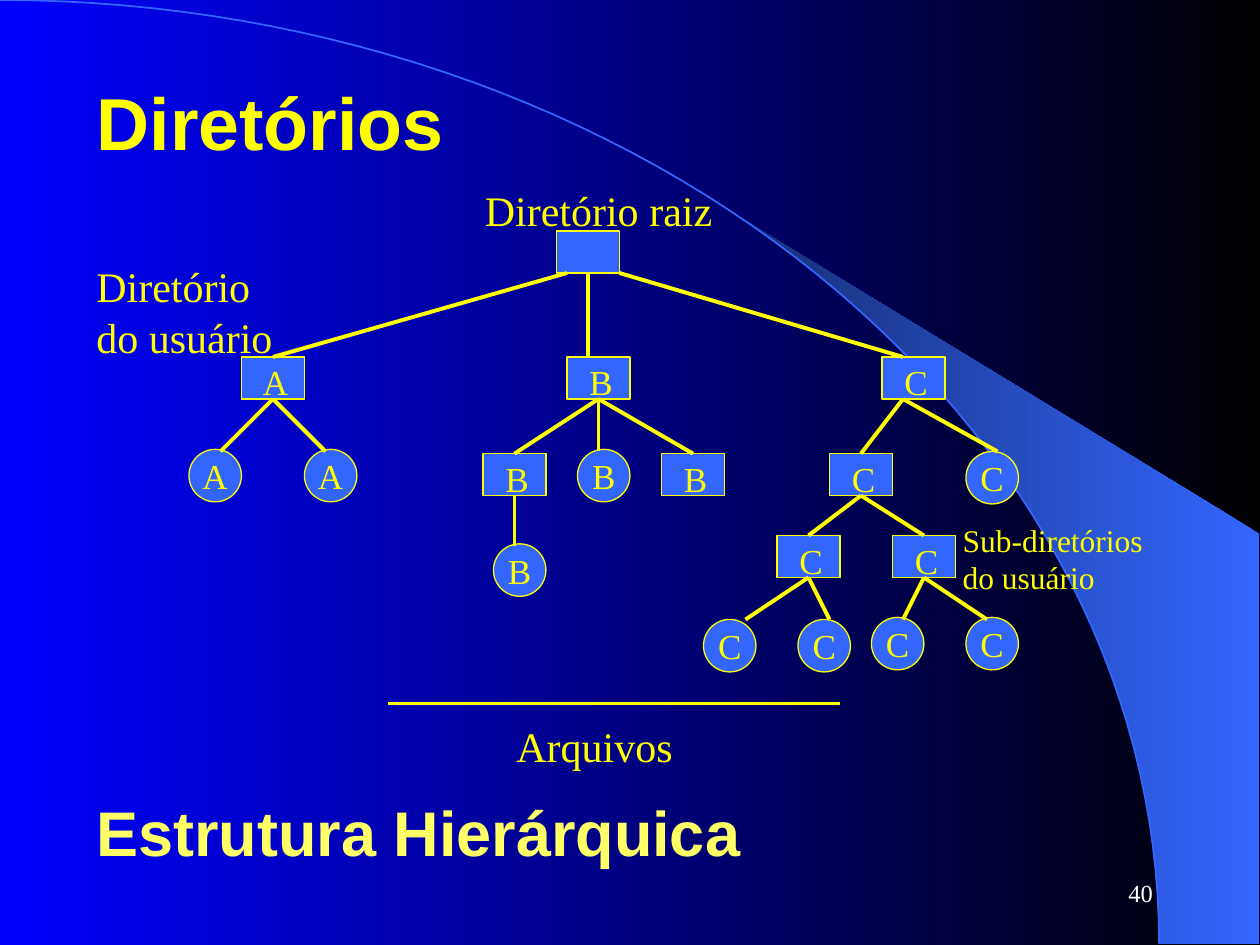
from math import asin, cos, pi, sin

from lxml.etree import SubElement
from pptx import Presentation
from pptx.dml.color import RGBColor
from pptx.enum.shapes import MSO_CONNECTOR, MSO_SHAPE
from pptx.enum.text import MSO_ANCHOR, MSO_AUTO_SIZE, PP_ALIGN
from pptx.oxml.ns import qn
from pptx.util import Inches, Pt

YELLOW, BLUE = "FFFF00", "3366FF"
SERIF, SANS = "Times New Roman", "Arial"
rgb = RGBColor.from_string

presentation = Presentation()
presentation.slide_width, presentation.slide_height = Inches(10), Inches(7.5)
GRID = presentation.slide_width / 120  # the slide is 120 columns by 90 rows
slide = presentation.slides.add_slide(presentation.slide_layouts[5])
shapes = slide.shapes


def at(*cells):
    return [round(cell * GRID) for cell in cells]


def write(frame, text, size, color=YELLOW, font=SERIF, bold=False,
          align=PP_ALIGN.LEFT, anchor=MSO_ANCHOR.TOP, wrap=True):
    frame.text = text
    frame.word_wrap = wrap
    frame.auto_size = MSO_AUTO_SIZE.NONE
    frame.vertical_anchor = anchor
    for paragraph in frame.paragraphs:
        paragraph.alignment = align
        paragraph.font.size = Pt(size)
        paragraph.font.name = font
        paragraph.font.bold = bold
        paragraph.font.color.rgb = rgb(color)


# Backdrop: a quarter ellipse, with a lit crescent to its right
backdrop = slide.background.fill
arc_width, arc_height, right_edge = 110.4, 89.9, 119.9


def arc(start, steps=60):
    angles = [start + (pi / 2 - start) * i / steps for i in range(steps + 1)]
    return [at(arc_width * sin(a), arc_height * (1 - cos(a))) for a in angles]


tangent = arc(asin(0.64))
outline = shapes.build_freeform(*tangent[0], scale=1.0)
outline.add_line_segments(
    tangent[1:] + [at(right_edge, arc_height), at(right_edge, 50.8)], close=True)
crescent = outline.convert_to_shape()
crescent.shadow.inherit = False
crescent.line.fill.background()

for fill, colors in ((backdrop, ("000000", "0000FF")),
                     (crescent.fill, (BLUE, "172F75"))):
    fill.gradient()
    fill.gradient_angle = 180
    for stop, color, position in zip(fill.gradient_stops, colors, (0, 1)):
        stop.color.rgb = rgb(color)
        stop.position = position

curve = arc(0)
outline = shapes.build_freeform(*curve[0], scale=1.0)
outline.add_line_segments(curve[1:], close=False)
rim = outline.convert_to_shape()
rim.shadow.inherit = False
rim.fill.background()
rim.line.color.rgb = rgb(BLUE)
rim.line.width = Pt(1)

# Title
title = shapes.title
title.left, title.top, title.width, title.height = at(8, 4, 108, 15)
write(title.text_frame, "Diretórios", 42, font=SANS, bold=True,
      anchor=MSO_ANCHOR.MIDDLE)

# Directories are boxes, files are circles
directories = {
    "root": ("", 53, 22),
    "A": ("A", 23, 34), "B": ("B", 54, 34), "C": ("C", 84, 34),
    "B left": ("B", 46, 43.2), "B right": ("B", 63, 43.2),
    "C left": ("C", 79, 43.2),
    "C sub 1": ("C", 74, 51), "C sub 2": ("C", 85, 51),
}
files = [
    ("A", 18, 42.8), ("A", 29, 42.8),
    ("B", 55, 42.8), ("B", 47, 51.8),
    ("C", 92, 43), ("C", 67, 59), ("C", 76, 59), ("C", 83, 58.8), ("C", 92, 58.8),
]
nodes = [(MSO_SHAPE.RECTANGLE, 6, 4, *entry) for entry in directories.values()]
nodes += [(MSO_SHAPE.OVAL, 5, 5, *entry) for entry in files]
drawn = []
for kind, width, height, letter, column, row in nodes:
    node = shapes.add_shape(kind, *at(column, row, width, height))
    node.shadow.inherit = False
    node.fill.solid()
    node.fill.fore_color.rgb = rgb(BLUE)
    node.line.color.rgb = rgb(YELLOW)
    node.line.width = Pt(1 if row == 51 else 0.75)
    frame = node.text_frame
    frame.margin_left = frame.margin_right = 0
    frame.margin_top = frame.margin_bottom = 0
    if kind == MSO_SHAPE.RECTANGLE:
        frame.margin_left, frame.margin_top = Inches(0.04), Inches(0.06)
    if letter:
        write(frame, letter, 20, align=PP_ALIGN.CENTER, anchor=MSO_ANCHOR.MIDDLE)
    drawn.append(node)
boxes = dict(zip(directories, drawn))

# Each end is a directory to join, or a column and row
branches = [
    ((54, 26), "A"), ("root", (56, 34)), ((59, 26), (86, 34)),
    ("A", (21, 43)), ("A", (31, 43)),
    ("B", "B left"), ("B", (57, 43)), ("B", "B right"), ("B left", (49, 52)),
    ((86, 38), "C left"), ((86, 38), (95, 43)),
    ("C left", "C sub 1"), ("C left", "C sub 2"),
    ("C sub 1", (71, 59)), ("C sub 1", (79, 59)),
    ("C sub 2", (86, 59)), ("C sub 2", (94, 59)),
]
files_rule = ((37, 67), (80, 67))
for start, end in branches + [files_rule]:
    start_cell = (0, 0) if start in boxes else start
    end_cell = (0, 0) if end in boxes else end
    branch = shapes.add_connector(MSO_CONNECTOR.STRAIGHT, *at(*start_cell, *end_cell))
    if start in boxes:
        branch.begin_connect(boxes[start], 2)
    if end in boxes:
        branch.end_connect(boxes[end], 0)
    branch.line.color.rgb = rgb(YELLOW)
    branch.line.width = Pt(1.5 if (start, end) == files_rule else 2.25)
    SubElement(branch._element.spPr, qn("a:effectLst"))

# Captions
for text, size, cells in (
    ("Diretório raiz", 24, (45, 17, 24, 6)),
    ("Diretório\ndo usuário", 24, (8, 24.25, 19.2, 10.8)),
    ("Sub-diretórios\ndo usuário", 18, (90.5, 49, 19.5, 8.4)),
    ("Arquivos", 24, (48, 68, 17.3, 6)),
):
    caption = shapes.add_textbox(*at(*cells))
    write(caption.text_frame, text, size, wrap=False)

subtitle = shapes.add_textbox(*at(8, 75, 87, 9))
write(subtitle.text_frame, "Estrutura Hierárquica", 36, "FFFF66", SANS, bold=True)

page_number = shapes.add_textbox(*at(86, 82, 25, 6))
write(page_number.text_frame, "40", 14, "FFFFFF",
      align=PP_ALIGN.RIGHT, anchor=MSO_ANCHOR.MIDDLE)

presentation.save("out.pptx")
